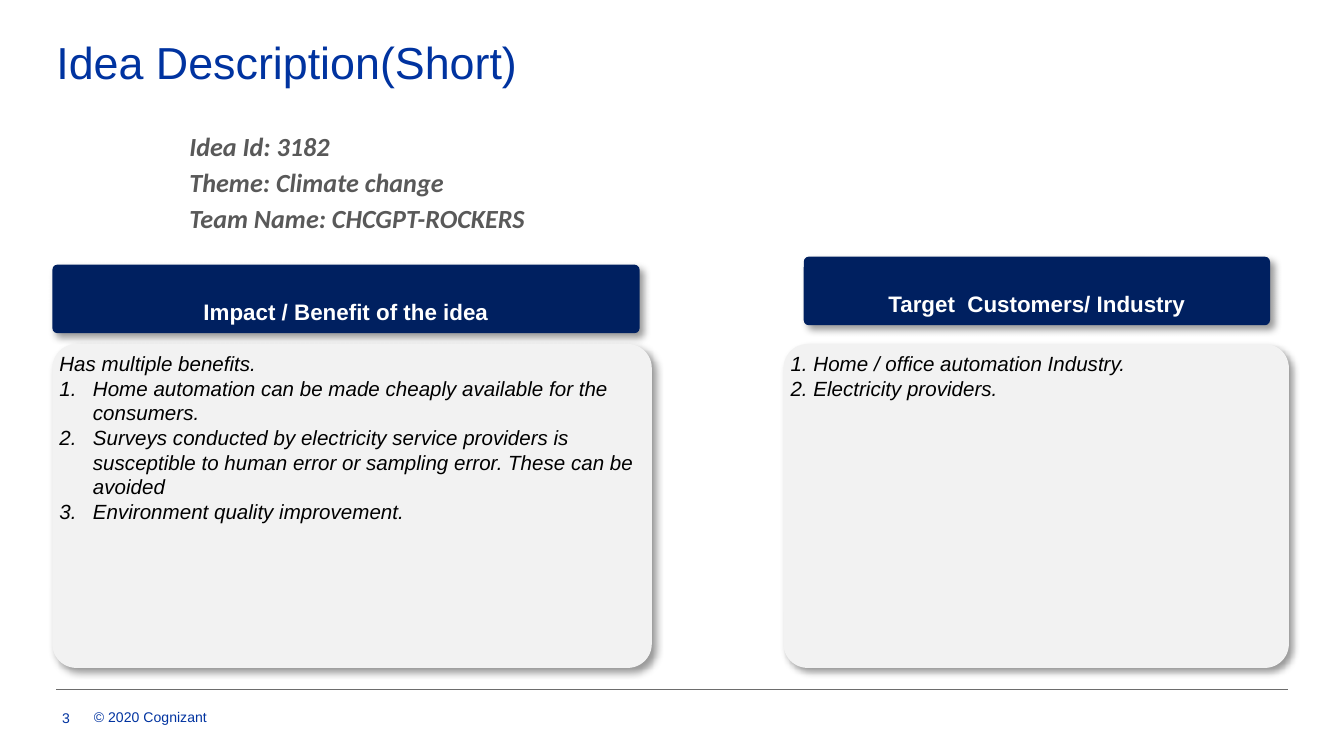
from lxml import etree
from pptx import Presentation
from pptx.dml.color import RGBColor
from pptx.enum.shapes import MSO_CONNECTOR, MSO_SHAPE
from pptx.enum.text import MSO_ANCHOR, MSO_AUTO_SIZE, PP_ALIGN
from pptx.oxml.ns import qn
from pptx.util import Pt

ROUNDED = MSO_SHAPE.ROUNDED_RECTANGLE
STRAIGHT = MSO_CONNECTOR.STRAIGHT
TOP, MIDDLE = MSO_ANCHOR.TOP, MSO_ANCHOR.MIDDLE
LEFT, CENTER, RIGHT = PP_ALIGN.LEFT, PP_ALIGN.CENTER, PP_ALIGN.RIGHT
NO_FIT = MSO_AUTO_SIZE.NONE

BLUE, NAVY, PALE, GREY = "0033A0", "002060", "F2F2F2", "595959"
WHITE, BLACK = "FFFFFF", "000000"
RULE_GREY = "6D6D6D"
TITLE_ONLY = 5


def color(hex_value):
    return RGBColor.from_string(hex_value)


def set_margins(frame, top=0):
    frame.margin_left = frame.margin_right = frame.margin_bottom = 0
    frame.margin_top = Pt(top)


def write(frame, lines, size, hex_value, align=LEFT, font="Arial",
          bold=False, italic=False):
    frame.text = "\n".join(lines)
    for paragraph in frame.paragraphs:
        paragraph.alignment = align
        for run in paragraph.runs:
            run.font.name = font
            run.font.size = Pt(size)
            run.font.bold = bold
            run.font.italic = italic
            run.font.color.rgb = color(hex_value)


def number(paragraph):
    """Turn a paragraph into an item of a numbered list."""
    props = paragraph._p.get_or_add_pPr()
    props.set("marL", str(Pt(18)))
    props.set("indent", str(Pt(-18)))
    etree.SubElement(props, qn("a:buFont"), typeface="+mj-lt")
    etree.SubElement(props, qn("a:buAutoNum"), type="arabicPeriod")


def add_shadow(shape):
    effects = etree.SubElement(shape._element.spPr, qn("a:effectLst"))
    shadow = etree.SubElement(
        effects, qn("a:outerShdw"), blurRad=str(Pt(4)), dist=str(Pt(3)),
        dir=str(45 * 60000), algn="tl", rotWithShape="0")
    black = etree.SubElement(shadow, qn("a:srgbClr"), val=BLACK)
    etree.SubElement(black, qn("a:alpha"), val="40000")


def add_panel(slide, left, top, width, height, fill, top_margin=0):
    panel = slide.shapes.add_shape(ROUNDED, Pt(left), Pt(top), Pt(width), Pt(height))
    panel.adjustments[0] = 0.074
    panel.fill.solid()
    panel.fill.fore_color.rgb = color(fill)
    panel.line.fill.background()
    add_shadow(panel)
    frame = panel.text_frame
    frame.word_wrap = True
    frame.vertical_anchor = TOP
    set_margins(frame, top_margin)
    return frame


def add_header(slide, left, top, width, label):
    frame = add_panel(slide, left, top, width, 36.7, NAVY, top_margin=17)
    write(frame, [label], 12, WHITE, CENTER, bold=True)


def add_body(slide, left, width, lines):
    frame = add_panel(slide, left, 184.3, width, 173.5, PALE)
    write(frame, lines, 11, BLACK, italic=True)
    return frame


def add_text(slide, left, top, width, height):
    frame = slide.shapes.add_textbox(Pt(left), Pt(top), Pt(width), Pt(height)).text_frame
    frame.word_wrap = True
    return frame


def add_title(slide, text):
    title = slide.shapes.title
    title.left, title.top, title.width, title.height = Pt(30.2), Pt(21.6), Pt(660), Pt(31)
    frame = title.text_frame
    set_margins(frame)
    frame.vertical_anchor = TOP
    frame.auto_size = NO_FIT
    write(frame, [text], 24, BLUE)
    frame.paragraphs[0].line_spacing = 0.9


def add_footer(slide):
    rule = slide.shapes.add_connector(STRAIGHT, Pt(30.2), Pt(369.4), Pt(689.8), Pt(369.4))
    rule.line.color.rgb = color(RULE_GREY)
    rule.line.width = Pt(0.5)
    etree.SubElement(rule._element.spPr, qn("a:effectLst"))
    copyright_line = add_text(slide, 43.2, 375.8, 141.8, 16.6)
    write(copyright_line, ["© 2020 Cognizant"], 7.5, BLUE)
    page_number = add_text(slide, 15.8, 373.7, 28.8, 21.6)
    page_number.vertical_anchor = MIDDLE
    write(page_number, ["3"], 7.5, BLUE, RIGHT)


def add_idea_facts(slide, lines):
    facts = add_text(slide, 88.6, 66.2, 616.3, 62)
    write(facts, lines, 14, GREY, font="Calibri", bold=True, italic=True)
    for index, paragraph in enumerate(facts.paragraphs):
        paragraph._p.get_or_add_pPr().set("marL", str(Pt(5.8)))
        paragraph.space_after = Pt(1.3)
        if index:
            paragraph.space_before = Pt(1.3)


def main():
    prs = Presentation()
    prs.slide_width, prs.slide_height = Pt(720), Pt(405)
    slide = prs.slides.add_slide(prs.slide_layouts[TITLE_ONLY])

    add_footer(slide)
    add_title(slide, "Idea Description(Short)")

    # Impact column
    add_header(slide, 28.1, 141.8, 314.6, "Impact / Benefit of the idea")
    benefits = add_body(slide, 28.1, 321.1, [
        "Has multiple benefits.",
        "Home automation can be made cheaply available for the consumers.",
        "Surveys conducted by electricity service providers is susceptible to "
        "human error or sampling error. These can be avoided",
        "Environment quality improvement.",
    ])
    for benefit in benefits.paragraphs[1:]:
        number(benefit)

    # Customer column
    add_header(slide, 430.6, 137.5, 249.8, "Target  Customers/ Industry")
    add_body(slide, 419.8, 270.7, [
        "1. Home / office automation Industry.",
        "2. Electricity providers.",
    ])

    add_idea_facts(slide, [
        "Idea Id: 3182",
        "Theme: Climate change",
        "Team Name: CHCGPT-ROCKERS",
    ])
    prs.save("out.pptx")


if __name__ == "__main__":
    main()
